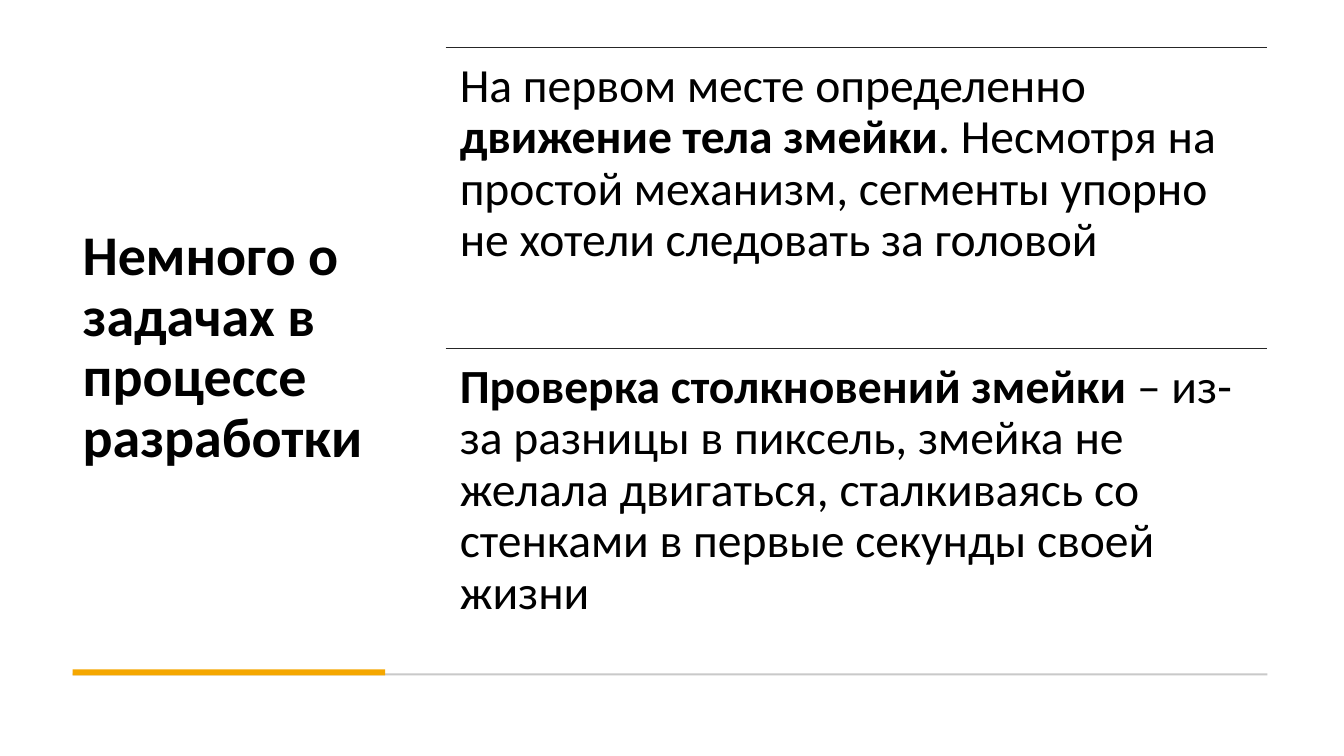
from dataclasses import dataclass

from lxml.etree import SubElement
from pptx import Presentation
from pptx.dml.color import RGBColor
from pptx.enum.shapes import MSO_CONNECTOR, MSO_SHAPE
from pptx.enum.text import MSO_ANCHOR, MSO_AUTO_SIZE, PP_ALIGN
from pptx.oxml.ns import qn
from pptx.util import Inches, Pt


@dataclass(frozen=True)
class Theme:
    font: str = "Calibri"
    title_size: int = 40
    body_size: int = 34
    text: RGBColor = RGBColor(0x00, 0x00, 0x00)
    background: RGBColor = RGBColor(0xFF, 0xFF, 0xFF)
    divider: RGBColor = RGBColor(0x26, 0x26, 0x26)
    footer_rule: RGBColor = RGBColor(0xC9, 0xC9, 0xC9)
    accent: RGBColor = RGBColor(0xF5, 0xA7, 0x00)


THEME = Theme()
LEFT, TOP, RIGHT = 0.72, 0.47, 12.57
TITLE_WIDTH, CONTENT_HEIGHT = 3.1, 5.97
TASKS_LEFT = 4.42
TASKS_WIDTH = RIGHT - TASKS_LEFT

TITLE = "Немного о задачах в процессе разработки"
# Each task is a list of (text, bold) pieces.
TASKS = [
    [
        ("На первом месте определенно ", False),
        ("движение тела змейки", True),
        (". Несмотря на простой механизм, сегменты упорно "
         "не хотели следовать за головой", False),
    ],
    [
        ("Проверка столкновений змейки ", True),
        ("– из-за разницы в пиксель, змейка не желала двигаться, "
         "сталкиваясь со стенками в первые секунды своей жизни", False),
    ],
]


def write_text(frame, pieces, *, size, anchor, inset=None):
    """Fill a text frame with one paragraph of (text, bold) pieces."""
    frame.word_wrap = True
    frame.auto_size = MSO_AUTO_SIZE.NONE
    frame.vertical_anchor = anchor
    if inset is not None:
        frame.margin_left = frame.margin_right = Inches(inset)
        frame.margin_top = frame.margin_bottom = Inches(inset)
    paragraph = frame.paragraphs[0]
    paragraph.alignment = PP_ALIGN.LEFT
    paragraph.line_spacing = 0.9
    for text, bold in pieces:
        run = paragraph.add_run()
        run.text = text
        run.font.name = THEME.font
        run.font.size = Pt(size)
        run.font.bold = bold
        run.font.color.rgb = THEME.text


def add_title(slide):
    title = slide.shapes.title
    title.left, title.top = Inches(LEFT), Inches(TOP)
    title.width, title.height = Inches(TITLE_WIDTH), Inches(CONTENT_HEIGHT)
    write_text(title.text_frame, [(TITLE, True)],
               size=THEME.title_size, anchor=MSO_ANCHOR.MIDDLE)


def add_bar(slide, top, width, height, color):
    bar = slide.shapes.add_shape(MSO_SHAPE.RECTANGLE, Inches(LEFT), Inches(top),
                                 Inches(width), Inches(height))
    bar.shadow.inherit = False
    bar.fill.solid()
    bar.fill.fore_color.rgb = color
    bar.line.fill.background()


def add_divider(shapes, top):
    divider = shapes.add_connector(MSO_CONNECTOR.STRAIGHT, Inches(TASKS_LEFT),
                                   Inches(top), Inches(RIGHT), Inches(top))
    divider.line.color.rgb = THEME.divider
    divider.line.width = Pt(1)
    SubElement(divider._element.spPr, qn("a:effectLst"))


def add_tasks(slide):
    """Stack the tasks in equal rows, each under its own divider."""
    group = slide.shapes.add_group_shape()
    row_height = CONTENT_HEIGHT / len(TASKS)
    for row, pieces in enumerate(TASKS):
        top = TOP + row * row_height
        add_divider(group.shapes, top)
        task = group.shapes.add_textbox(Inches(TASKS_LEFT), Inches(top),
                                        Inches(TASKS_WIDTH), Inches(row_height))
        write_text(task.text_frame, pieces, size=THEME.body_size,
                   anchor=MSO_ANCHOR.TOP, inset=0.14)


def main():
    prs = Presentation()
    prs.slide_width, prs.slide_height = Inches(13.33), Inches(7.5)
    title_only = prs.slide_layouts[5]
    slide = prs.slides.add_slide(title_only)
    slide.background.fill.solid()
    slide.background.fill.fore_color.rgb = THEME.background

    add_title(slide)
    add_bar(slide, 6.68, RIGHT - LEFT, 0.02, THEME.footer_rule)
    add_bar(slide, 6.64, TITLE_WIDTH, 0.06, THEME.accent)
    add_tasks(slide)
    prs.save("out.pptx")


if __name__ == "__main__":
    main()
